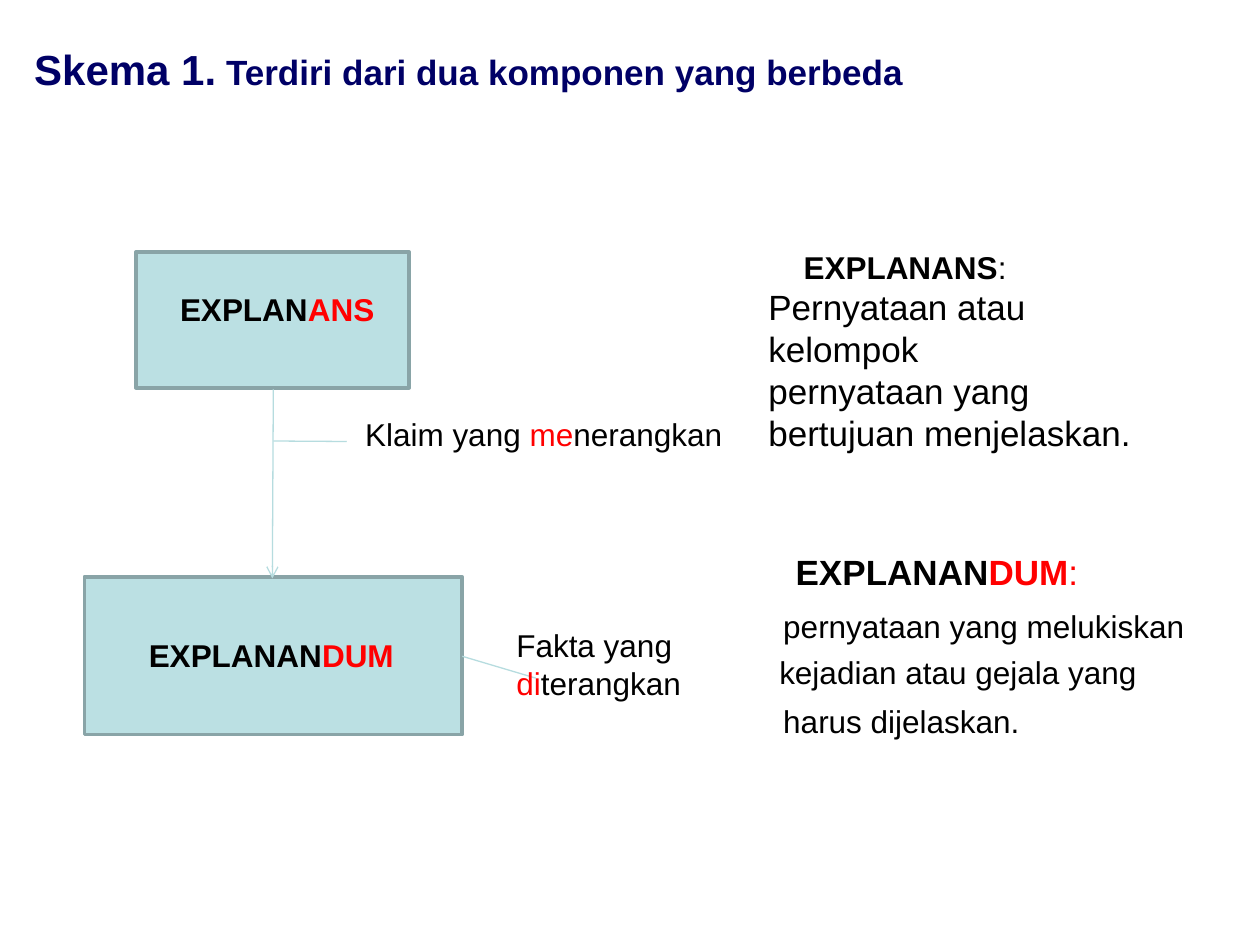
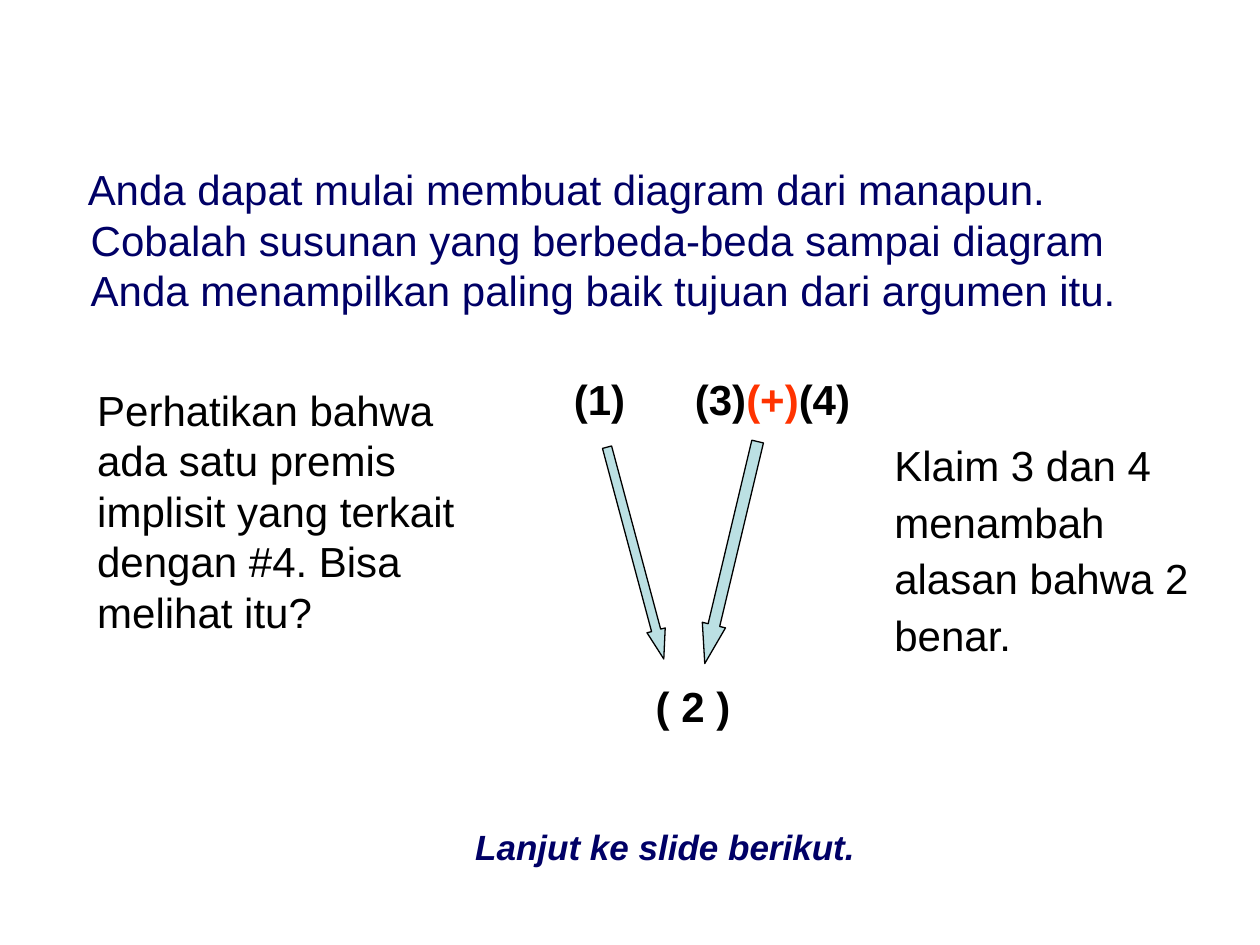
from lxml.etree import SubElement
from pptx import Presentation
from pptx.dml.color import RGBColor
from pptx.enum.shapes import MSO_CONNECTOR as Connector, MSO_SHAPE as Shape
from pptx.oxml.ns import qn
from pptx.util import Cm, Pt

FONT = "Arial"
COLORS = {
    "navy": "000066",
    "black": "000000",
    "red": "FF0000",
    "orange": "FF3300",
    "fill": "BBE0E3",
    "border": "89A4A7",
    "connector": "B6DCDF",
}

# Content: a paragraph is a list of runs (text, overrides) plus its own layout.
# Positions are (left, top, width, height) in centimetres.
SCHEME_BOXES = [(2.74, 5.08, 5.51, 2.74), (1.7, 11.63, 7.62, 3.18)]
SCHEME_LINES = [  # start, end, arrowhead
    ((5.51, 7.85), (5.49, 11.66), True),
    ((5.51, 8.89), (6.99, 8.9), False),
    ((9.32, 13.23), (10.8, 13.67), False),
]
RED = {"color": "red"}
BOLD = {"bold": True}
RED_BOLD = {"color": "red", "bold": True}
SCHEME_TEXTS = [
    {"at": (0.69, 0.87, 19, 1.3), "color": "navy", "bold": True, "size": 20,
     "paragraphs": [{"runs": [("Skema 1.", {"size": 24}),
                              (" Terdiri dari dua komponen yang berbeda", {})]}]},
    {"at": (3.63, 5.84, 4.2, 0.8), "bold": True,
     "paragraphs": [{"runs": [("EXPLAN", {}), ("ANS", RED)]}]},
    {"at": (3, 12.83, 5.4, 0.8), "bold": True,
     "paragraphs": [{"runs": [("EXPLANAN", {}), ("DUM", RED)]}]},
    {"at": (7.36, 8.36, 7.8, 0.8),
     "paragraphs": [{"runs": [("Klaim yang ", {}), ("me", RED), ("nerangkan", {})]}]},
    {"at": (10.41, 12.62, 4.57, 1.6),
     "paragraphs": [{"runs": [("Fakta yang ", {}), ("di", RED), ("terangkan", {})]}]},
    {"at": (15.49, 5, 7.75, 4.2), "size": 20,
     "paragraphs": [
         {"runs": [("EXPLANANS", {"bold": True, "size": 18}), (":", {"size": 18})],
          "margin": 0.71},
         {"runs": [("Pernyataan atau kelompok", {})]},
         {"runs": [("pernyataan yang bertujuan menjelaskan.", {})]}]},
    {"at": (15.71, 11.09, 9.2, 4),
     "paragraphs": [
         {"runs": [("EXPLANAN", {**BOLD, "size": 20}), ("DUM", {**RED_BOLD, "size": 20}),
                   (":", {**RED, "size": 20})], "margin": 0.33},
         {"runs": [("pernyataan yang melukiskan", {})], "margin": 0.08, "before": 8.6},
         {"runs": [("kejadian atau gejala yang", {})], "before": 4.6},
         {"runs": [("harus dijelaskan.", {})], "margin": 0.08, "before": 6.4}]},
]

DIAGRAM_ARROWS = [  # position, rotation, head length relative to width
    ((12.62, 8.94, 0.38, 4.42), 345, 1.57),
    ((14.5, 8.84, 0.48, 4.6), 13.4, 1.66),
]
REASON_LINES = ["Klaim 3 dan 4", "menambah", "alasan bahwa 2", "benar."]
DIAGRAM_TEXTS = [
    {"at": (1.77, 3.3, 22.5, 4), "color": "navy", "size": 24,
     "paragraphs": [{"runs": [(
         "Anda dapat mulai membuat diagram dari manapun. Cobalah susunan yang "
         "berbeda-beda sampai diagram Anda menampilkan paling baik tujuan dari "
         "argumen itu.", {})], "margin": 0.06, "indent": -0.06}]},
    {"at": (11.57, 7.54, 2, 1.1), "size": 24, "bold": True,
     "paragraphs": [{"runs": [("(1)", {})]}]},
    {"at": (14.01, 7.54, 4, 1.1), "size": 24, "bold": True,
     "paragraphs": [{"runs": [("(3)", {}), ("(+)", {"color": "orange"}), ("(4)", {})]}]},
    {"at": (13.22, 13.72, 2.5, 1.1), "size": 24, "bold": True,
     "paragraphs": [{"runs": [("( 2 )", {})]}]},
    {"at": (1.96, 7.75, 7.95, 5.4), "size": 24,
     "paragraphs": [{"runs": [(
         "Perhatikan bahwa ada satu premis implisit yang terkait dengan #4. "
         "Bisa melihat itu?", {})]}]},
    {"at": (9.58, 16.64, 8.2, 0.9), "color": "navy", "size": 20, "bold": True,
     "italic": True, "paragraphs": [{"runs": [("Lanjut ke slide berikut.", {})]}]},
    {"at": (18.03, 9.22, 6.1, 4.1), "size": 24,
     "paragraphs": [{"runs": [(line, {})], "spacing": 0.6, "before": 15 if index else 0}
                    for index, line in enumerate(REASON_LINES)]},
]


def rgb(name):
    return RGBColor.from_string(COLORS[name])


def style(font, values):
    """Apply only the font settings that are given."""
    if "size" in values:
        font.size = Pt(values["size"])
    if "color" in values:
        font.color.rgb = rgb(values["color"])
    if "bold" in values:
        font.bold = values["bold"]
    if "italic" in values:
        font.italic = values["italic"]


def add_text(slide, block):
    frame = slide.shapes.add_textbox(*map(Cm, block["at"])).text_frame
    frame.word_wrap = True
    frame.margin_left = frame.margin_top = frame.margin_right = frame.margin_bottom = 0
    for index, content in enumerate(block["paragraphs"]):
        paragraph = frame.add_paragraph() if index else frame.paragraphs[0]
        properties = paragraph._p.get_or_add_pPr()
        properties.set("marL", str(Cm(content.get("margin", 0))))
        properties.set("indent", str(Cm(content.get("indent", 0))))
        paragraph.space_before = Pt(content.get("before", 0))
        paragraph.line_spacing = content.get("spacing", 1.0)
        paragraph.font.name = FONT
        style(paragraph.font, {"size": 18, "color": "black", **block})
        for text, overrides in content["runs"]:
            run = paragraph.add_run()
            run.text = text
            style(run.font, overrides)


def add_filled(slide, kind, position, border, width):
    shape = slide.shapes.add_shape(kind, *map(Cm, position))
    shape.shadow.inherit = False
    shape.fill.solid()
    shape.fill.fore_color.rgb = rgb("fill")
    shape.line.color.rgb = rgb(border)
    shape.line.width = Pt(width)
    return shape


def add_line(slide, start, end, arrow):
    line = slide.shapes.add_connector(Connector.STRAIGHT, *map(Cm, start + end))
    line.line.color.rgb = rgb("connector")
    line.line.width = Pt(0.75)
    if arrow:
        SubElement(line.line._get_or_add_ln(), qn("a:tailEnd"), type="arrow")
    SubElement(line._element.spPr, qn("a:effectLst"))


def build_scheme(slide):
    for position in SCHEME_BOXES:
        add_filled(slide, Shape.RECTANGLE, position, "border", 2)
    for start, end, arrow in SCHEME_LINES:
        add_line(slide, start, end, arrow)
    for block in SCHEME_TEXTS:
        add_text(slide, block)


def build_diagram(slide):
    for position, rotation, head in DIAGRAM_ARROWS:
        arrow = add_filled(slide, Shape.DOWN_ARROW, position, "black", 0.75)
        arrow.rotation = rotation
        arrow.adjustments[0] = 0.5
        arrow.adjustments[1] = head
    for block in DIAGRAM_TEXTS:
        add_text(slide, block)


def main():
    presentation = Presentation()
    presentation.slide_width, presentation.slide_height = Cm(25.4), Cm(19.05)
    blank = presentation.slide_layouts[6]
    for build in (build_scheme, build_diagram):
        build(presentation.slides.add_slide(blank))
    presentation.save("out.pptx")


if __name__ == "__main__":
    main()
